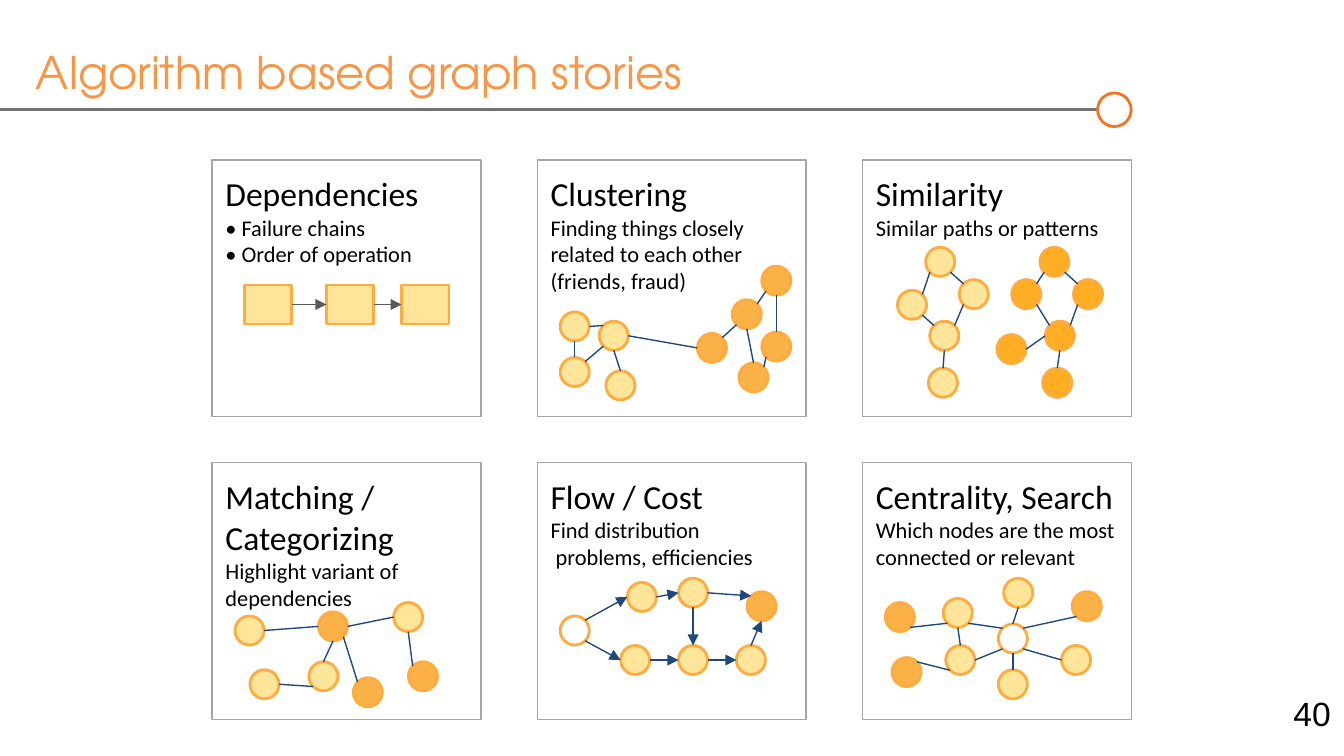
from dataclasses import dataclass
from math import cos, pi, sin

from lxml import etree
from pptx import Presentation
from pptx.dml.color import RGBColor
from pptx.enum.shapes import MSO_CONNECTOR, MSO_SHAPE
from pptx.enum.text import MSO_ANCHOR, PP_ALIGN
from pptx.oxml.ns import qn
from pptx.util import Pt

STRAIGHT, ELBOW = MSO_CONNECTOR.STRAIGHT, MSO_CONNECTOR.ELBOW
ELLIPSE, RECTANGLE, PROCESS = MSO_SHAPE.OVAL, MSO_SHAPE.RECTANGLE, MSO_SHAPE.FLOWCHART_PROCESS
LEFT, RIGHT = PP_ALIGN.LEFT, PP_ALIGN.RIGHT
TOP, MIDDLE = MSO_ANCHOR.TOP, MSO_ANCHOR.MIDDLE

BLACK = RGBColor(0x00, 0x00, 0x00)
WHITE = RGBColor(0xFF, 0xFF, 0xFF)
TITLE_ORANGE = RGBColor(0xF7, 0x96, 0x46)
RING_ORANGE = RGBColor(0xEF, 0x75, 0x21)
RULE_GREY = RGBColor(0x72, 0x73, 0x76)
CARD_GREY = RGBColor(0xA5, 0xA5, 0xA5)
ARROW_GREY = RGBColor(0x59, 0x59, 0x59)
NODE_BORDER = RGBColor(0xFF, 0xAB, 0x40)
YELLOW = RGBColor(0xFF, 0xE5, 0x99)
AMBER = RGBColor(0xFF, 0xAE, 0x23)
ORANGE = RGBColor(0xF9, 0x9F, 0x1A)
EDGE_BLUE = RGBColor(0x1F, 0x49, 0x7D)

# Card grid and node size, in points
CARD_LEFT, CARD_TOP, CARD_WIDTH, CARD_HEIGHT = 113.7, 85.7, 144, 137.5
COLUMN_STEP, ROW_STEP = 174.2, 162.2
NODE_SIZE = 15.6
BOX_WIDTH, BOX_HEIGHT, BOX_TOP = 25.4, 20.9, 67
BOX_LEFTS = (17.3, 61.2, 101.5)

# Compass points on a circle, as angles in eighths of a turn from east
SITES = {"E": 0, "SE": 1, "S": 2, "SW": 3, "W": 4, "NW": 5, "N": 6, "NE": 7}


@dataclass(frozen=True)
class Node:
    left: float
    top: float
    fill: RGBColor = YELLOW
    opacity: int = 100


@dataclass(frozen=True)
class Card:
    column: int
    row: int
    heading: str
    lines: tuple[str, ...]
    nodes: tuple[Node, ...] = ()
    edges: str = ""  # "node site node site", separated by commas
    directed: bool = False


def orange(left: float, top: float) -> Node:
    return Node(left, top, ORANGE, 80)


CARDS = (
    Card(0, 0, "Dependencies", ("• Failure chains", "• Order of operation")),
    Card(0, 1, "Matching / Categorizing", ("Highlight variant of dependencies",),
         (Node(12.2, 82.1), orange(56.9, 79.9), Node(97.2, 74.9), Node(51.8, 106.6),
          orange(105.1, 106.6), Node(20.2, 110.9), orange(75.6, 115.2)),
         "2 S 4 NW, 2 W 1 E, 1 S 3 N, 1 SE 6 NW, 1 W 0 E, 5 E 3 SW"),
    Card(1, 0, "Clustering", ("Finding things closely related to each other (friends, fraud)",),
         (Node(12.2, 81.4), Node(33.1, 86.4), Node(12.2, 105.8), Node(36.7, 113),
          orange(85.7, 92.9), orange(104.4, 74.9), orange(108, 108.7),
          orange(120.2, 92.2), orange(120.2, 56.9)),
         "8 SW 5 NE, 8 S 7 N, 7 SW 6 NE, 5 SW 4 NE, 5 S 6 N, 1 S 3 N, "
         "1 SW 2 NE, 1 NW 0 E, 0 S 2 N, 4 W 1 E"),
    Card(1, 1, "Flow / Cost", ("Find distribution", " problems, efficiencies"),
         (Node(12.2, 82.1, WHITE), Node(48.2, 64.1), Node(75.6, 61.9), orange(112.3, 69.1),
          Node(44.6, 97.9), Node(75.6, 97.9), Node(106.6, 97.9)),
         "0 NE 1 W, 0 SE 4 W, 4 E 5 W, 5 E 6 W, 6 N 3 S, 1 E 2 W, 2 E 3 NW, 2 S 5 N",
         directed=True),
    Card(2, 0, "Similarity", ("Similar paths or patterns",),
         (Node(33.8, 46.8), Node(18.7, 69.8), Node(51.8, 64.1), Node(36, 86.4),
          Node(35.3, 111.6), Node(95, 46.8, AMBER), Node(79.9, 64.1, AMBER),
          Node(113, 64.1, AMBER), Node(97.9, 86.4, AMBER), Node(96.5, 111.6, AMBER),
          Node(72, 93.6, AMBER)),
         "0 SW 1 NE, 1 SE 3 NW, 3 S 4 N, 2 SW 3 NE, 0 SE 2 NW, 5 SW 6 NE, "
         "6 SE 8 NW, 8 S 9 N, 7 SW 8 NE, 5 SE 7 NW, 8 W 10 E"),
    Card(2, 1, "Centrality, Search", ("Which nodes are the most connected or relevant",),
         (Node(72.7, 86.4, WHITE), Node(43.2, 72.7), orange(112.3, 69.1), Node(44.6, 97.9),
          Node(75.6, 61.9), Node(72.7, 110.9), Node(106.6, 97.9),
          orange(12.2, 74.9), orange(15.8, 104.4)),
         "4 S 0 N, 2 SW 0 NE, 6 W 0 SE, 1 SE 0 NW, 3 E 0 SW, 5 N 0 S, "
         "7 SE 1 SW, 8 NE 3 SW, 3 N 1 S"),
)


def add_shape(slide, kind, left: float, top: float, width: float, height: float, *,
              border: RGBColor, weight: float, fill: RGBColor | None = None,
              opacity: int = 100) -> None:
    shape = slide.shapes.add_shape(kind, Pt(left), Pt(top), Pt(width), Pt(height))
    shape.shadow.inherit = False
    shape.line.color.rgb = border
    shape.line.width = Pt(weight)
    if fill is None:
        shape.fill.background()
        return
    shape.fill.solid()
    shape.fill.fore_color.rgb = fill
    if opacity < 100:
        color = shape.fill._xPr.find(qn("a:solidFill"))[0]
        etree.SubElement(color, qn("a:alpha")).set("val", str(opacity * 1000))


def add_line(slide, start: tuple[float, float], end: tuple[float, float], *,
             color: RGBColor, weight: float = 0.75, arrow: bool = False,
             kind=STRAIGHT) -> None:
    connector = slide.shapes.add_connector(kind, *(Pt(value) for value in (*start, *end)))
    connector.line.color.rgb = color
    connector.line.width = Pt(weight)
    if arrow:
        etree.SubElement(connector.line._get_or_add_ln(), qn("a:tailEnd")).set("type", "triangle")
    etree.SubElement(connector._element.spPr, qn("a:effectLst"))


def add_text(slide, lines: list[tuple[str, float]], left: float, top: float, width: float,
             height: float, *, font: str = "Calibri", color: RGBColor = BLACK,
             align=LEFT, anchor=TOP) -> None:
    frame = slide.shapes.add_textbox(Pt(left), Pt(top), Pt(width), Pt(height)).text_frame
    frame.word_wrap = True
    frame.vertical_anchor = anchor
    frame.margin_left = frame.margin_right = frame.margin_top = frame.margin_bottom = Pt(7.2)
    for index, (text, size) in enumerate(lines):
        paragraph = frame.add_paragraph() if index else frame.paragraphs[0]
        paragraph.alignment = align
        run = paragraph.add_run()
        run.text = text
        run.font.name = font
        run.font.size = Pt(size)
        run.font.color.rgb = color


def site_point(node: Node, site: str, left: float, top: float) -> tuple[float, float]:
    radius, angle = NODE_SIZE / 2, SITES[site] * pi / 4
    return (left + node.left + radius * (1 + cos(angle)),
            top + node.top + radius * (1 + sin(angle)))


def add_card(slide, card: Card) -> None:
    left = CARD_LEFT + card.column * COLUMN_STEP
    top = CARD_TOP + card.row * ROW_STEP
    add_shape(slide, RECTANGLE, left, top, CARD_WIDTH, CARD_HEIGHT,
              border=CARD_GREY, weight=0.75, fill=WHITE)
    add_text(slide, [(card.heading, 18)] + [(line, 12) for line in card.lines],
             left, top, CARD_WIDTH, 37.4)
    for node in card.nodes:
        add_shape(slide, ELLIPSE, left + node.left, top + node.top, NODE_SIZE, NODE_SIZE,
                  border=NODE_BORDER, weight=1.5, fill=node.fill, opacity=node.opacity)
    for edge in filter(None, card.edges.split(", ")):
        source, source_site, target, target_site = edge.split()
        add_line(slide, site_point(card.nodes[int(source)], source_site, left, top),
                 site_point(card.nodes[int(target)], target_site, left, top),
                 color=EDGE_BLUE, arrow=card.directed)


def add_dependency_chain(slide) -> None:
    top = CARD_TOP + BOX_TOP
    middle = top + BOX_HEIGHT / 2
    lefts = [CARD_LEFT + left for left in BOX_LEFTS]
    for left in lefts:
        add_shape(slide, PROCESS, left, top, BOX_WIDTH, BOX_HEIGHT,
                  border=NODE_BORDER, weight=1.5, fill=YELLOW)
    for left, following in zip(lefts, lefts[1:]):
        add_line(slide, (left + BOX_WIDTH, middle), (following, middle),
                 color=ARROW_GREY, arrow=True, kind=ELBOW)


def main() -> None:
    presentation = Presentation()
    presentation.slide_width, presentation.slide_height = Pt(720), Pt(405)
    slide = presentation.slides.add_slide(presentation.slide_layouts[6])

    # Title and rule
    add_line(slide, (0, 58.6), (588, 58.6), color=RULE_GREY, weight=1.5)
    add_shape(slide, ELLIPSE, 588, 49.8, 18, 18, border=RING_ORANGE, weight=1.5)
    add_text(slide, [("Algorithm based graph stories", 24)], 12.2, 16.6, 570, 41.8,
             font="TeX Gyre Adventor", color=TITLE_ORANGE)

    # Story cards
    for card in CARDS:
        add_card(slide, card)
    add_dependency_chain(slide)

    # Page number
    add_text(slide, [("40", 18)], 676.8, 366.5, 43.2, 31, font="Arial",
             align=RIGHT, anchor=MIDDLE)

    presentation.save("out.pptx")


if __name__ == "__main__":
    main()
